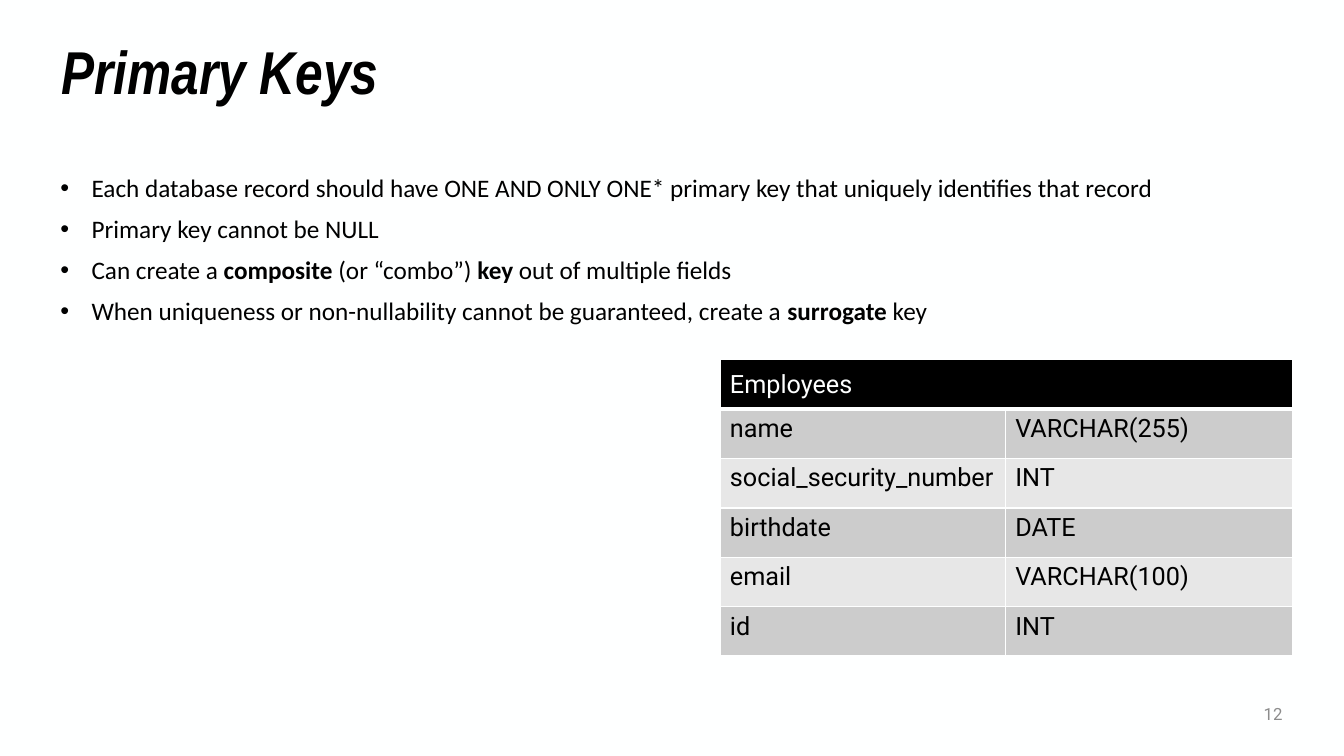
"""Build the slide on primary keys: title, bullet points and the Employees table."""
from lxml import etree
from pptx import Presentation
from pptx.dml.color import RGBColor
from pptx.enum.text import MSO_ANCHOR, MSO_AUTO_SIZE, PP_ALIGN
from pptx.oxml.ns import qn
from pptx.util import Inches, Pt

LEFT, RIGHT = PP_ALIGN.LEFT, PP_ALIGN.RIGHT
TOP, MIDDLE = MSO_ANCHOR.TOP, MSO_ANCHOR.MIDDLE
FIXED = MSO_AUTO_SIZE.NONE
BLACK = RGBColor(0x00, 0x00, 0x00)
WHITE = RGBColor(0xFE, 0xFF, 0xFF)
GRAY = RGBColor(0x8C, 0x8C, 0x8C)
BANDS = RGBColor(0xCC, 0xCC, 0xCC), RGBColor(0xE7, 0xE7, 0xE7)

TITLE = "Primary Keys"
NUMBER = "12"
POINTS = [
    [("Each database record should have ONE AND ONLY ONE* primary key "
      "that uniquely identifies that record", False)],
    [("Primary key cannot be NULL", False)],
    [("Can create a ", False), ("composite ", True), ("(or “combo”) ", False),
     ("key", True), (" out of multiple fields", False)],
    [("When uniqueness or non-nullability cannot be guaranteed, create a ", False),
     ("surrogate", True), (" key", False)],
]
HEADER = "Employees"
FIELDS = [
    ("name", "VARCHAR(255)"),
    ("social_security_number", "INT"),
    ("birthdate", "DATE"),
    ("email", "VARCHAR(100)"),
    ("id", "INT"),
]

WIDE, HIGH = 13.33, 7.5
MARGIN = 0.51
SPAN = WIDE - 2 * MARGIN
COLS = 2.83, 2.85
ROW = 0.49
HANG = 0.31
HEAD = dict(name="Arial Narrow", size=Pt(43.2), bold=True, italic=True)
BODY = dict(name="Calibri", size=Pt(18))
CELL = dict(name="Roboto", size=Pt(18), bold=False)
FOOT = dict(name="Roboto", size=Pt(12))


def style(font, form, color):
    for key, value in form.items():
        setattr(font, key, value)
    font.color.rgb = color


def frame(shape, anchor):
    text = shape.text_frame
    for key, value in dict(word_wrap=True, auto_size=FIXED,
                           vertical_anchor=anchor).items():
        setattr(text, key, value)
    return text


def place(shape, *box):
    for key, value in zip(("left", "top", "width", "height"), box):
        setattr(shape, key, Inches(value))


def write(text, words, form, color, align=LEFT):
    text.text = words
    para = text.paragraphs[0]
    para.alignment = align
    style(para.runs[0].font, form, color)
    return para


def add_box(slide, anchor, *box):
    return frame(slide.shapes.add_textbox(*map(Inches, box)), anchor)


def add_points(text):
    for i, parts in enumerate(POINTS):
        para = text.add_paragraph() if i else text.paragraphs[0]
        para.line_spacing = 0.9
        if i:
            para.space_before = Pt(10)
        props = para._p.get_or_add_pPr()
        props.set("marL", str(Inches(HANG)))
        props.set("indent", str(-Inches(HANG)))
        etree.SubElement(props, qn("a:buFont"), typeface="Arial")
        etree.SubElement(props, qn("a:buChar"), char="•")
        for words, bold in parts:
            run = para.add_run()
            run.text = words
            style(run.font, dict(BODY, bold=bold), BLACK)


def add_edges(cell, base):
    props = cell._tc.get_or_add_tcPr()
    for side, width in dict(lnL=1, lnR=1, lnT=1, lnB=base).items():
        line = etree.SubElement(props, qn("a:" + side), w=str(Pt(width)))
        fill = etree.SubElement(line, qn("a:solidFill"))
        etree.SubElement(fill, qn("a:srgbClr"), val=str(WHITE))


def add_grid(slide):
    rows = [(HEADER, "")] + FIELDS
    wide = sum(COLS)
    box = WIDE - MARGIN - wide, 3.57, wide, ROW * len(rows)
    grid = slide.shapes.add_table(len(rows), len(COLS), *map(Inches, box)).table
    grid.first_row = grid.horz_banding = False
    for col, width in zip(grid.columns, COLS):
        col.width = Inches(width)
    for r, row in enumerate(rows):
        grid.rows[r].height = Inches(ROW)
        for c, words in enumerate(row):
            cell = grid.cell(r, c)
            add_edges(cell, 1 if r else 3)
            cell.fill.solid()
            cell.fill.fore_color.rgb = BANDS[(r - 1) % 2] if r else BLACK
            cell.vertical_anchor = TOP if r else MIDDLE
            if words:
                write(cell.text_frame, words, CELL, BLACK if r else WHITE)
    grid.cell(0, 0).merge(grid.cell(0, 1))


def main():
    deck = Presentation()
    deck.slide_width, deck.slide_height = Inches(WIDE), Inches(HIGH)
    slide = deck.slides.add_slide(deck.slide_layouts[5])
    back = slide.background.fill
    back.solid()
    back.fore_color.rgb = WHITE
    title = slide.shapes.title
    place(title, MARGIN, 0.42, SPAN, 0.64)
    write(frame(title, MIDDLE), TITLE, HEAD, BLACK).line_spacing = 0.9
    add_points(add_box(slide, TOP, 0.5, 1.69, SPAN, 4.87))
    number = add_box(slide, MIDDLE, WIDE - MARGIN - 1.2, 6.88, 1.2, 0.4)
    write(number, NUMBER, FOOT, GRAY, RIGHT)
    add_grid(slide)
    deck.save("out.pptx")


if __name__ == "__main__":
    main()
